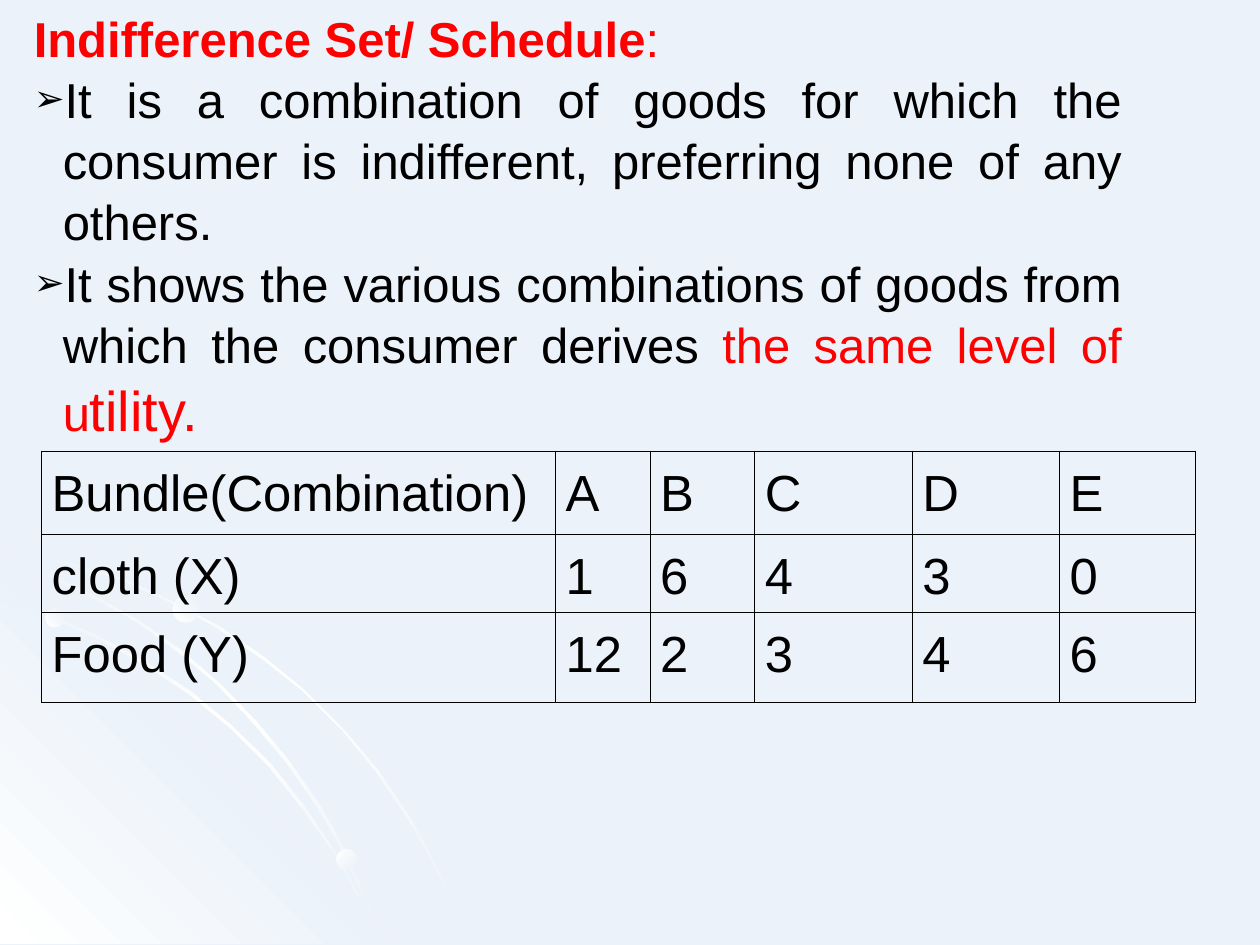
import copy
import pptx
import pptx.util
import pptx.dml.color
import pptx.enum.shapes
import pptx.enum.text
import pptx.oxml
import pptx.oxml.ns
from pptx.util import Inches, Pt

RGB = pptx.dml.color.RGBColor.from_string
qn = pptx.oxml.ns.qn
THEME = {
    "bg": "EBF2F9", "white": "FFFFFF", "text": "000000", "accent": "FF0000",
    "font": "Arial", "body": 28, "large": 32, "table": 29, "border": 0.45,
}


def shade(s, colors, angle):
    s.shadow.inherit = False
    s.line.fill.background()
    s.fill.gradient()
    s.fill.gradient_angle = 360 - angle
    stops = s._element.spPr.find(".//" + qn("a:gsLst"))
    while len(stops) < len(colors):
        stops.append(copy.deepcopy(stops[0]))
    for i, (stop, color) in enumerate(zip(s.fill.gradient_stops, colors)):
        stop.color.rgb = RGB(THEME[color])
        stop.position = i / (len(colors) - 1)


def add_run(p, text, size, color, bold=False):
    r = p.add_run()
    r.text = text
    for name, value in {"name": THEME["font"], "size": Pt(THEME[size]), "bold": bold}.items():
        setattr(r.font, name, value)
    r.font.color.rgb = RGB(THEME[color])


prs = pptx.Presentation()
prs.slide_width, prs.slide_height = Inches(10), Inches(7.5)
slide = prs.slides.add_slide(prs.slide_layouts[6])
slide.background.fill.solid()
slide.background.fill.fore_color.rgb = RGB(THEME["bg"])

outer_arc = [
    (0.57, 4.47), (0, 4.35), (0, 4.38), (0.28, 4.43), (0.56, 4.49), (0.97, 4.61),
    (1.35, 4.78), (1.73, 4.99), (2.08, 5.23), (2.41, 5.49), (2.71, 5.79), (2.98, 6.12),
    (3.23, 6.49), (3.37, 6.73), (3.5, 6.98), (3.6, 7.23), (3.7, 7.49), (3.72, 7.49),
    (3.62, 7.23), (3.52, 6.98), (3.39, 6.73), (3.25, 6.48), (3, 6.11), (2.72, 5.78),
    (2.42, 5.48), (2.09, 5.21), (1.74, 4.97), (1.36, 4.77), (0.98, 4.59),
]
corner = [(3.22, 7.49), (0, 7.49), (0, 4.27)]
inner_arc = [
    (2.85, 7.14), (2.94, 7.32), (3.01, 7.49), (3.03, 7.49), (2.96, 7.3), (2.86, 7.12),
    (2.66, 6.76), (2.42, 6.4), (2.15, 6.06), (1.84, 5.76), (1.52, 5.49), (1.17, 5.26),
    (0.79, 5.05), (0.41, 4.88), (0, 4.75), (0, 4.77), (0.39, 4.9), (0.77, 5.07),
    (1.15, 5.28), (1.5, 5.51), (1.83, 5.78), (2.13, 6.08), (2.4, 6.42), (2.65, 6.77),
]
middle_arc = [
    (0, 4.42), (0, 4.44), (0.36, 4.57), (0.74, 4.75), (1.09, 4.94), (1.42, 5.18),
    (1.73, 5.44), (2.02, 5.75), (2.27, 6.05), (2.52, 6.41), (2.67, 6.67), (2.8, 6.94),
    (2.92, 7.22), (3.01, 7.49), (3.03, 7.49), (2.94, 7.2), (2.82, 6.93), (2.69, 6.65),
    (2.54, 6.39), (2.29, 6.03), (2.04, 5.73), (1.75, 5.43), (1.44, 5.16), (1.11, 4.93),
    (0.76, 4.73), (0.39, 4.55),
]
glow = ["bg", "white", "bg"]
for outline, colors, angle in [
    (outer_arc, glow, 45),
    (corner, ["white", "bg", "white"], 315),
    (inner_arc, glow, 45),
    (middle_arc, glow, 45),
]:
    points = [(Inches(x), Inches(y)) for x, y in outline]
    builder = slide.shapes.build_freeform(*points[0])
    builder.add_line_segments(points[1:], close=True)
    shade(builder.convert_to_shape(), colors, angle)

for left, top, size, angle in [(0.36, 4.83, 0.15, 315), (2.67, 6.74, 0.16, 45), (1.37, 4.73, 0.21, 315)]:
    s = slide.shapes.add_shape(
        pptx.enum.shapes.MSO_SHAPE.OVAL, Inches(left), Inches(top), Inches(size), Inches(size))
    shade(s, ["white", "bg"], angle)

rows = [
    ["Bundle(Combination)", "A", "B", "C", "D", "E"],
    ["cloth (X)", "1", "6", "4", "3", "0"],
    ["Food (Y)", "12", "2", "3", "4", "6"],
]
frame = slide.shapes.add_table(3, 6, Inches(0.33), Inches(3.58), Inches(9.17), Inches(1.93))
table = frame.table
table.first_row = table.horz_banding = False
for column, width in zip(table.columns, [4.08, 0.75, 0.83, 1.25, 1.17, 1.08]):
    column.width = Inches(width)
for row, height, texts in zip(table.rows, [0.66, 0.56, 0.72], rows):
    row.height = Inches(height)
    for cell, text in zip(row.cells, texts):
        margins = {"margin_left": 0.08, "margin_right": 0.08, "margin_top": 0.05, "margin_bottom": 0.05}
        for name, value in margins.items():
            setattr(cell, name, Inches(value))
        p = cell.text_frame.paragraphs[0]
        p.alignment = pptx.enum.text.PP_ALIGN.JUSTIFY
        p.line_spacing = 1.15
        add_run(p, text, "table", "text")
        tcPr = cell._tc.get_or_add_tcPr()
        for side in ["a:lnL", "a:lnR", "a:lnT", "a:lnB"]:
            ln = pptx.oxml.parse_xml(
                f'<{side} xmlns:a="http://schemas.openxmlformats.org/drawingml/2006/main" '
                f'w="{Pt(THEME["border"])}"><a:solidFill><a:srgbClr val="{THEME["text"]}"/>'
                f'</a:solidFill></{side}>')
            tcPr.append(ln)
        cell.fill.background()

tb = slide.shapes.add_textbox(Inches(0.17), Inches(0), Inches(8.83), Inches(4.34))
tf = tb.text_frame
tf.word_wrap = True
paragraphs = [
    (False, [("Indifference Set/ Schedule", "body", "accent", True), (":", "body", "accent")]),
    (True, [("It is a combination of goods for which the consumer is indifferent, "
             "preferring none of any others.", "body", "text")]),
    (True, [("It shows the various combinations of goods from which the consumer derives ", "body", "text"),
            ("the same level of u", "body", "accent"), ("tility.", "large", "accent")]),
]
for i, (bulleted, runs) in enumerate(paragraphs):
    p = tf.add_paragraph() if i else tf.paragraphs[0]
    p.alignment = pptx.enum.text.PP_ALIGN.JUSTIFY
    p.line_spacing = 1.04
    if bulleted:
        pPr = p._p.get_or_add_pPr()
        pPr.set("marL", str(Inches(0.23)))
        pPr.set("indent", str(-Inches(0.23)))
        color = pptx.oxml.ns.nsdecls("a")
        for xml in [
            f'<a:buClr {color}><a:srgbClr val="{THEME["text"]}"/></a:buClr>',
            f'<a:buSzPct {color} val="75000"/>',
            f'<a:buFont {color} typeface="{THEME["font"]}"/>',
            f'<a:buChar {color} char="➢"/>',
        ]:
            pPr.append(pptx.oxml.parse_xml(xml))
    for run in runs:
        add_run(p, *run)

prs.save("out.pptx")
